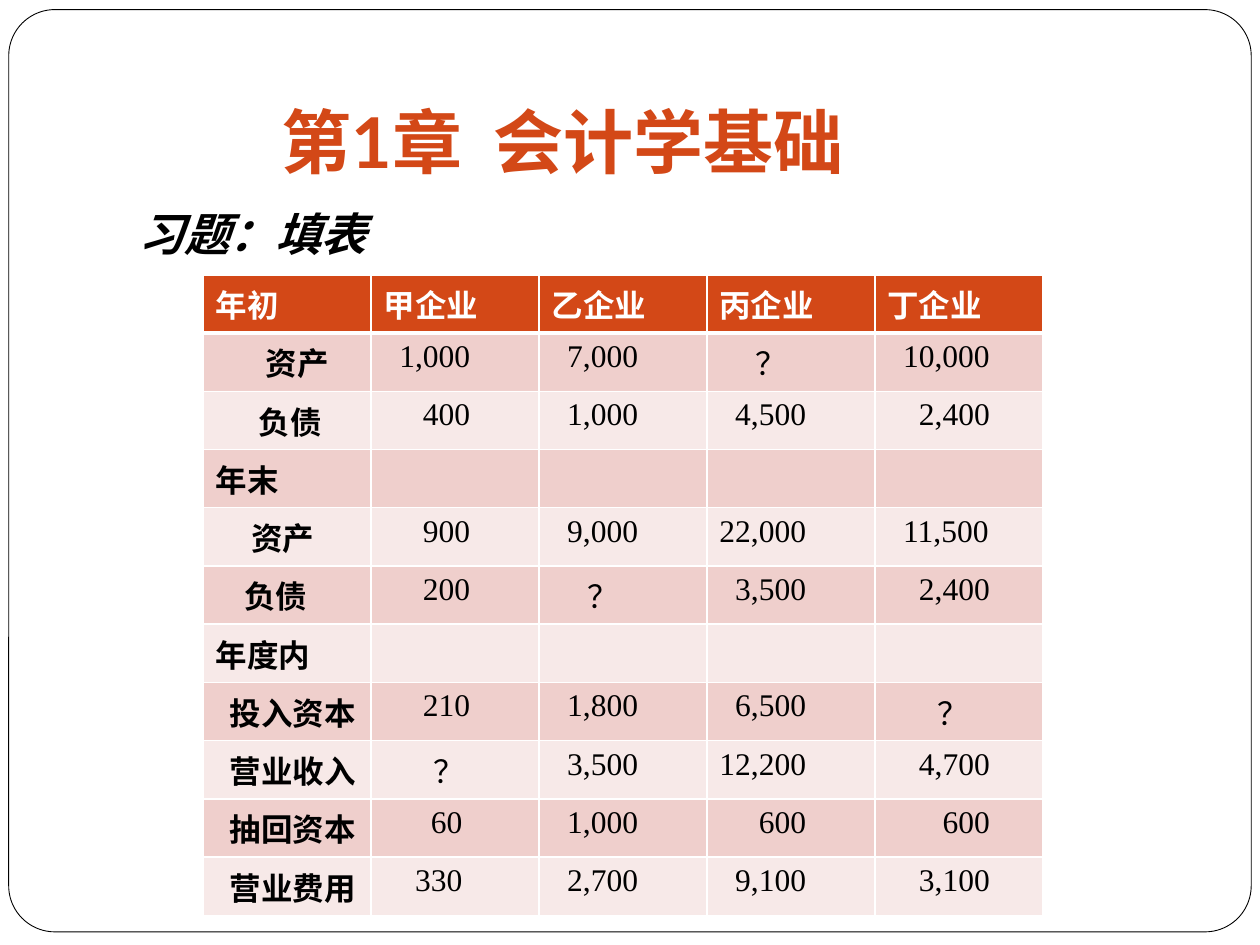
import pptx
import pptx.dml.color
import pptx.enum.shapes
import pptx.enum.text
import pptx.oxml
import pptx.oxml.ns
import pptx.util

Pt = pptx.util.Pt
RGBColor = pptx.dml.color.RGBColor
ANCHOR = pptx.enum.text.MSO_ANCHOR

ORANGE = RGBColor(0xD3, 0x48, 0x17)
WHITE = RGBColor(0xFF, 0xFF, 0xFF)
BLACK = RGBColor(0, 0, 0)
BANDS = (RGBColor(0xEF, 0xCF, 0xCC), RGBColor(0xF7, 0xE9, 0xE8))

TITLE = "第1章  会计学基础"
EXERCISE = "习题：填表"
HEADER = ["年初", "甲企业", "乙企业", "丙企业", "丁企业"]
ROWS = [
    ["资产", "1,000", "7,000", "？", "10,000"],
    ["负债", "400", "1,000", "4,500", "2,400"],
    ["年末", "", "", "", ""],
    ["资产", "900", "9,000", "22,000", "11,500"],
    ["负债", "200", "？", "3,500", "2,400"],
    ["年度内", "", "", "", ""],
    ["投入资本", "210", "1,800", "6,500", "？"],
    ["营业收入", "？", "3,500", "12,200", "4,700"],
    ["抽回资本", "60", "1,000", "600", "600"],
    ["营业费用", "330", "2,700", "9,100", "3,100"],
]
INDENT_STEPS = [
    [7, 2, 2, 5, 2],
    [6, 5, 2, 2, 4],
    [0, 0, 0, 0, 0],
    [5, 5, 2, 0, 2],
    [4, 5, 5, 2, 4],
    [0, 0, 0, 0, 0],
    [2, 5, 2, 2, 7],
    [2, 7, 2, 0, 4],
    [2, 6, 2, 5, 7],
    [2, 4, 2, 2, 4],
]
NUMBER_STEP, CHINESE_STEP = 4.5, 4.1
CELL_MARGIN = 7.2
COLUMN_WIDTH = 96
HEADER_HEIGHT, ROW_HEIGHT = 28.1, 29.5


def place(shape, left, top, width, height):
    shape.left, shape.top = Pt(left), Pt(top)
    shape.width, shape.height = Pt(width), Pt(height)


def format_font(font, name, size, color, bold=False, italic=False):
    font.name, font.size = name, Pt(size)
    font.bold, font.italic = bold, italic
    font.color.rgb = color


def fill_placeholder(shape, text, anchor, *font_settings):
    frame = shape.text_frame
    frame.text = text
    frame.word_wrap = True
    frame.auto_size = pptx.enum.text.MSO_AUTO_SIZE.NONE
    frame.vertical_anchor = anchor
    paragraph = frame.paragraphs[0]
    paragraph.alignment = pptx.enum.text.PP_ALIGN.LEFT
    paragraph.space_before = Pt(0)
    format_font(paragraph.runs[0].font, *font_settings)
    return paragraph


def set_borders(cell, top, bottom):
    properties = cell._tc.get_or_add_tcPr()
    for side, width in (("L", 1), ("R", 1), ("T", top), ("B", bottom)):
        properties.append(pptx.oxml.parse_xml(
            f'<a:ln{side} {pptx.oxml.ns.nsdecls("a")} w="{Pt(width)}">'
            f'<a:solidFill><a:srgbClr val="{WHITE}"/></a:solidFill></a:ln{side}>'))


def fill_cell(cell, text, indent, fill, color, bold, top, bottom):
    set_borders(cell, top, bottom)
    cell.fill.solid()
    cell.fill.fore_color.rgb = fill
    cell.margin_left = Pt(round(CELL_MARGIN + indent, 2))
    cell.text = text
    format_font(cell.text_frame.paragraphs[0].font, "Times New Roman", 18, color, bold)
    for run in cell.text_frame.paragraphs[0].runs:
        format_font(run.font, "Times New Roman", 18, color, bold)


def add_company_table(slide):
    frame = slide.shapes.add_table(
        len(ROWS) + 1, len(HEADER), Pt(116), Pt(157), Pt(COLUMN_WIDTH * len(HEADER)),
        Pt(HEADER_HEIGHT + ROW_HEIGHT * len(ROWS)))
    table = frame.table
    for column in table.columns:
        column.width = Pt(COLUMN_WIDTH)
    for index, row in enumerate(table.rows):
        row.height = Pt(ROW_HEIGHT if index else HEADER_HEIGHT)
    for column, text in enumerate(HEADER):
        fill_cell(table.cell(0, column), text, 0, ORANGE, WHITE, True, 1, 3)
    for row, (texts, steps) in enumerate(zip(ROWS, INDENT_STEPS)):
        for column, (text, count) in enumerate(zip(texts, steps)):
            step = CHINESE_STEP if column == 0 or text == "？" else NUMBER_STEP
            fill_cell(table.cell(row + 1, column), text, count * step, BANDS[row % 2],
                      BLACK, column == 0, 1 if row else 3, 1)


def main():
    presentation = pptx.Presentation()
    presentation.slide_width, presentation.slide_height = Pt(720), Pt(540)
    slide = presentation.slides.add_slide(presentation.slide_layouts[1])
    title, body = slide.shapes.title, slide.placeholders[1]

    frame = slide.shapes.add_shape(
        pptx.enum.shapes.MSO_SHAPE.ROUNDED_RECTANGLE, Pt(5), Pt(5.5), Pt(710), Pt(527))
    frame.adjustments[0] = 0.05
    frame.shadow.inherit = False
    frame.fill.solid()
    frame.fill.fore_color.rgb = WHITE
    frame.line.color.rgb = BLACK
    frame.line.width = Pt(0.5)
    title.element.addprevious(frame.element)

    place(title, 72, 21.6, 612, 90)
    fill_placeholder(title, TITLE, ANCHOR.BOTTOM, "Lato", 40, ORANGE, True)
    title.text_frame.margin_left = Pt(89)
    title.text_frame.margin_bottom = Pt(7.2)

    place(body, 72, 114, 612, 360)
    paragraph = fill_placeholder(
        body, EXERCISE, ANCHOR.TOP, "Times New Roman", 26, BLACK, True, True)
    properties = paragraph._p.get_or_add_pPr()
    properties.set("marL", "0")
    properties.set("indent", "0")
    properties.append(pptx.oxml.parse_xml(f'<a:buNone {pptx.oxml.ns.nsdecls("a")}/>'))

    add_company_table(slide)
    presentation.save("out.pptx")


if __name__ == "__main__":
    main()
